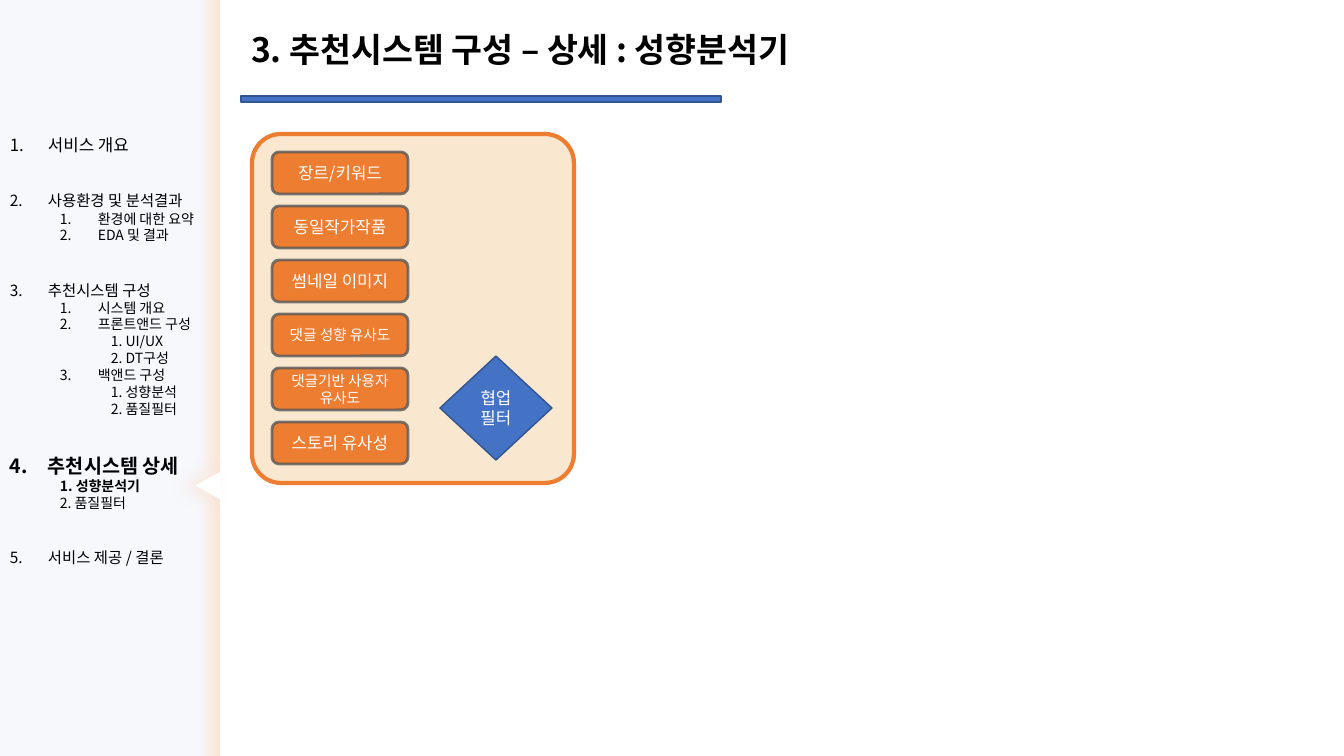
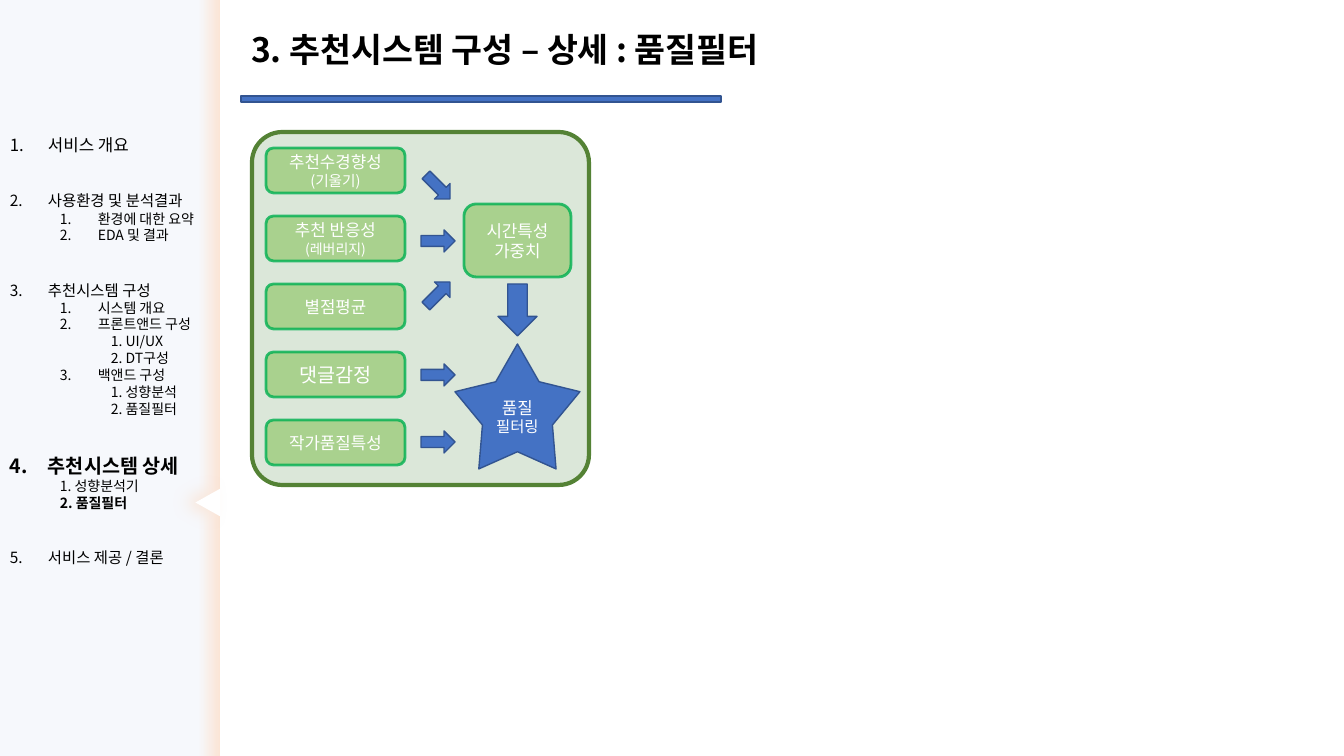
"""Build two slides detailing a recommender: its taste analyser and its quality filter."""
from dataclasses import dataclass

from lxml import etree
from pptx import Presentation
from pptx.dml.color import RGBColor
from pptx.enum.shapes import MSO_SHAPE
from pptx.enum.text import MSO_ANCHOR, MSO_AUTO_SIZE, PP_ALIGN
from pptx.oxml.ns import qn
from pptx.util import Pt

RECT, ROUNDED = MSO_SHAPE.RECTANGLE, MSO_SHAPE.ROUNDED_RECTANGLE
DIAMOND, STAR, TRIANGLE = MSO_SHAPE.DIAMOND, MSO_SHAPE.STAR_5_POINT, MSO_SHAPE.ISOSCELES_TRIANGLE
RIGHT_ARROW, DOWN_ARROW = MSO_SHAPE.RIGHT_ARROW, MSO_SHAPE.DOWN_ARROW
TOP, MIDDLE = MSO_ANCHOR.TOP, MSO_ANCHOR.MIDDLE
LEFT, CENTER = PP_ALIGN.LEFT, PP_ALIGN.CENTER
NO_AUTOFIT = MSO_AUTO_SIZE.NONE
PX = 914400 / 100.8


@dataclass(frozen=True)
class Theme:
    font: str = "Noto Sans CJK KR"
    ink: str = "000000"
    white: str = "FFFFFF"
    blue: str = "4472C4"
    blue_edge: str = "325491"
    mist: str = "F6F8FC"
    peach: str = "FBE5D6"
    cream: str = "F9E8CF"
    orange: str = "ED7D31"
    grey: str = "595959"
    sage: str = "DBE7D9"
    green: str = "A9D18E"
    green_edge: str = "00B050"
    forest: str = "548235"
    title: float = 24
    large: float = 14
    body: float = 12
    item: float = 11
    small: float = 10.5
    sub: float = 10


T = Theme()


def write(paragraph, text, size, color, bold=False):
    """Add one styled run to a paragraph."""
    run = paragraph.add_run()
    run.text = text
    for name, value in {"size": Pt(size), "bold": bold, "name": T.font}.items():
        setattr(run.font, name, value)
    run.font.color.rgb = RGBColor.from_string(color)
    etree.SubElement(run._r.get_or_add_rPr(), qn("a:ea"), typeface=T.font)


def add_part(shapes, kind, box, fill, edge=None, width=1, lines=(), alpha=None):
    """Add a flat shape with centred lines of (text, size)."""
    part = shapes.add_shape(kind, *(round(n * PX) for n in box))
    part.shadow.inherit = False
    part.fill.solid()
    part.fill.fore_color.rgb = RGBColor.from_string(fill)
    if edge:
        part.line.color.rgb = RGBColor.from_string(edge)
        part.line.width = Pt(width)
    else:
        part.line.fill.background()
    if alpha:
        edge_color = part.line._ln.find(".//" + qn("a:srgbClr"))
        etree.SubElement(edge_color, qn("a:alpha"), val=str(alpha * 1000))
    frame = part.text_frame
    frame.word_wrap, frame.vertical_anchor = True, MIDDLE
    for index, (text, size) in enumerate(lines):
        paragraph = frame.add_paragraph() if index else frame.paragraphs[0]
        paragraph.alignment = CENTER
        write(paragraph, text, size, T.white)
    return part


LEVELS = {
    "section": dict(lvl=0, marL=38, indent=-38, numbered=True),
    "topic": dict(lvl=1, marL=88, indent=-38, numbered=True),
    "detail": dict(lvl=2, marL=101, indent=0, numbered=False),
    "current": dict(lvl=1, marL=50, indent=0, numbered=False),
}
AGENDA = [
    ("section", "서비스 개요", T.body),
    ("section", "사용환경 및 분석결과", T.item),
    ("topic", "환경에 대한 요약", T.sub),
    ("topic", "EDA 및 결과", T.sub),
    ("section", "추천시스템 구성", T.item),
    ("topic", "시스템 개요", T.sub),
    ("topic", "프론트앤드 구성", T.sub),
    ("detail", "1. UI/UX", T.sub),
    ("detail", "2. DT구성", T.sub),
    ("topic", "백앤드 구성", T.sub),
    ("detail", "1. 성향분석", T.sub),
    ("detail", "2. 품질필터", T.sub),
    ("section", "추천시스템 상세", T.large),
    ("current", "1. 성향분석기", T.sub),
    ("current", "2. 품질필터", T.sub),
    ("section", "서비스 제공 / 결론", T.item),
]
PAGES = [("성향분석기", "1. 성향분석기", 473), ("품질필터", "2. 품질필터", 490)]

deck = Presentation()
deck.slide_width, deck.slide_height = round(1344 * PX), round(756 * PX)
diagrams = []

for topic, active_entry, pointer_top in PAGES:
    slide = deck.slides.add_slide(deck.slide_layouts[5])
    title = slide.shapes.title
    for name, value in dict(left=241, top=24, width=991, height=50).items():
        setattr(title, name, round(value * PX))
    title_format = dict(word_wrap=True, auto_size=NO_AUTOFIT, vertical_anchor=TOP)
    for name, value in title_format.items():
        setattr(title.text_frame, name, value)
    heading = title.text_frame.paragraphs[0]
    heading.alignment = LEFT
    write(heading, f"3. 추천시스템 구성 – 상세 : {topic}", T.title, T.ink, True)

    add_part(slide.shapes, RECT, (241, 96, 480, 6), T.blue, T.blue_edge)

    sidebar = add_part(slide.shapes, RECT, (0, 0, 220, 756), T.mist)
    sidebar.fill.gradient()
    sidebar.fill.gradient_angle = 0
    for stop, position, color in zip(sidebar.fill.gradient_stops, (0.9, 1), (T.mist, T.peach)):
        stop.position = position
        stop.color.rgb = RGBColor.from_string(color)
    sidebar.text_frame.margin_bottom = round(60 * PX)
    for index, (level, text, size) in enumerate(AGENDA):
        frame = sidebar.text_frame
        entry = frame.add_paragraph() if index else frame.paragraphs[0]
        entry.alignment = LEFT
        if index and level == "section":
            entry.space_before = Pt(26.4)
        layout = LEVELS[level]
        properties = entry._p.get_or_add_pPr()
        properties.set("lvl", str(layout["lvl"]))
        for name in ("marL", "indent"):
            properties.set(name, str(round(layout[name] * PX)))
        if layout["numbered"]:
            etree.SubElement(properties, qn("a:buAutoNum"), type="arabicPeriod")
        write(entry, text, size, T.ink, text == "추천시스템 상세" or (level, text) == ("current", active_entry))

    pointer = add_part(slide.shapes, TRIANGLE, (194, pointer_top, 28, 25), T.white)
    pointer.rotation = 270
    effects = pointer._element.spPr.find(qn("a:effectLst"))
    glow = etree.SubElement(effects, qn("a:outerShdw"), blurRad=str(Pt(12)), dist=str(Pt(7)),
                            dir="10800000", algn="r", rotWithShape="0")
    etree.SubElement(glow, qn("a:srgbClr"), val=T.peach)
    diagrams.append(slide.shapes.add_group_shape().shapes)

analyser, quality = diagrams

panel = add_part(analyser, ROUNDED, (252, 134, 322, 349), T.cream, T.orange, 3)
panel.adjustments[0] = 0.09
SIGNALS = [
    ("장르/키워드", T.body),
    ("동일작가작품", T.body),
    ("썸네일 이미지", T.body),
    ("댓글 성향 유사도", T.small),
    ("댓글기반 사용자 유사도", T.small),
    ("스토리 유사성", T.body),
]
for row, signal in enumerate(SIGNALS):
    add_part(analyser, ROUNDED, (272, 152 + 54 * row, 136, 42), T.orange, T.grey, 2, [signal], 80)
add_part(analyser, DIAMOND, (440, 356, 112, 104), T.blue, T.blue_edge, 1, [("협업필터", T.body)])

panel = add_part(quality, ROUNDED, (252, 132, 337, 353), T.sage, T.forest, 3)
panel.adjustments[0] = 0.09
MEASURES = [
    ([("추천수경향성", T.body), ("(기울기)", T.small)], 176, 45),
    ([("추천 반응성", T.body), ("(레버리지)", T.sub)], 230, 0),
    ([("별점평균", T.body)], 283, 315),
    ([("댓글감정", T.large)], 364, 0),
    ([("작가품질특성", T.body)], 431, 0),
]
for row, (lines, arrow_top, turn) in enumerate(MEASURES):
    add_part(quality, ROUNDED, (266, 148 + 68 * row, 139, 45), T.green, T.green_edge, 2, lines, 80)
    arrow = add_part(quality, RIGHT_ARROW, (421, arrow_top, 34, 22), T.blue, T.blue_edge)
    arrow.rotation = turn
add_part(quality, ROUNDED, (464, 204, 107, 73), T.green, T.green_edge, 2,
         [("시간특성", T.body), ("가중치", T.body)], 80)
star = add_part(quality, STAR, (455, 344, 125, 125), T.blue, T.blue_edge, 1,
                [("품질", T.body), ("필터링", T.item)])
star.adjustments[0] = 0.28
add_part(quality, DOWN_ARROW, (498, 284, 39, 52), T.blue, T.blue_edge)

deck.save("out.pptx")
